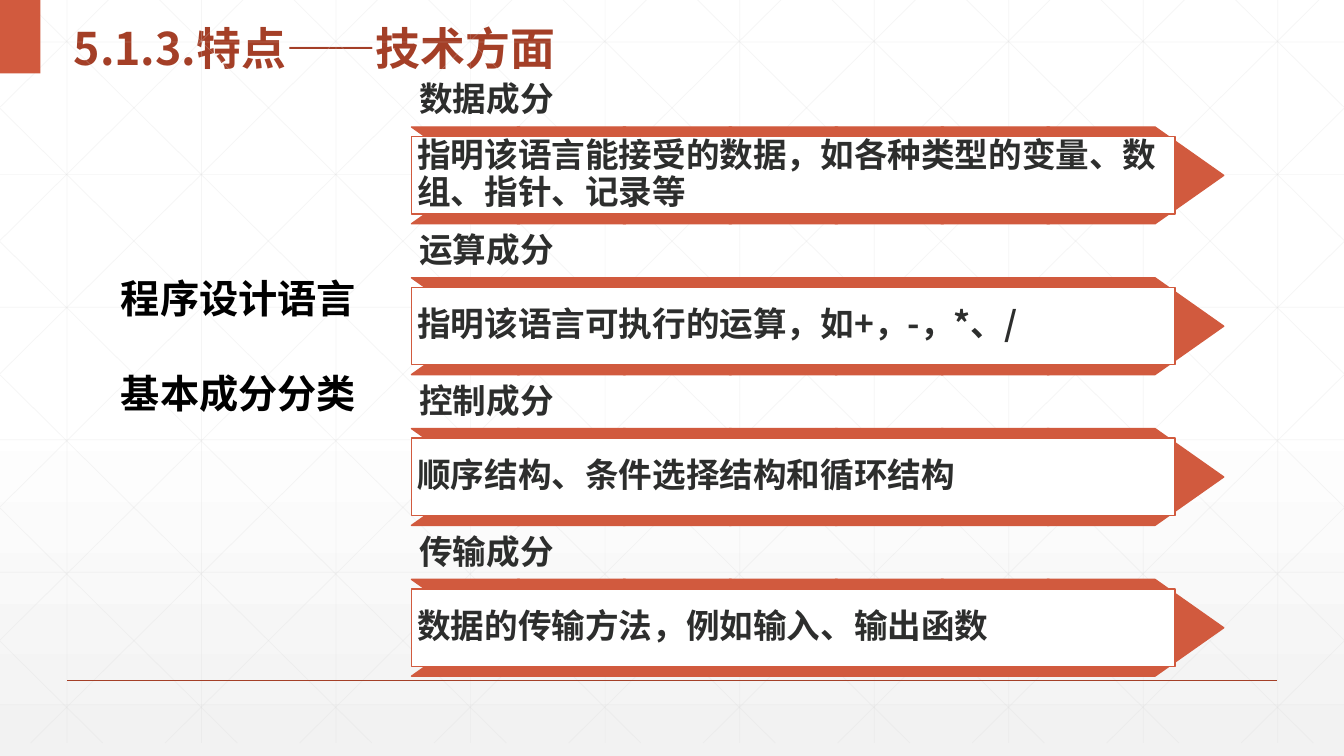
from dataclasses import dataclass
from typing import Any

from lxml.etree import SubElement
from pptx import Presentation
from pptx.dml.color import RGBColor
from pptx.enum.shapes import MSO_CONNECTOR, MSO_SHAPE
from pptx.enum.text import MSO_ANCHOR, MSO_AUTO_SIZE, PP_ALIGN
from pptx.oxml.ns import qn
from pptx.util import Cm, Pt

WIDE, HIGH = 33.87, 19.05
FLOOR = 18.72  # lower end of the background grid, cm
STEP = 3.39
SLANT = 1.01  # run of a diagonal per unit of drop
LEFT, TOP, PITCH = 10.37, 2.0, 3.8
RUST, DARK, INK = "D15A3E", "A43F27", "2D2E2D"
NOTO = "Noto Sans CJK SC"


@dataclass
class Part:
    """One language component: its label and what it covers."""
    name: str
    text: str


@dataclass
class Style:
    size: int
    color: str
    font: str = NOTO


PARTS = [
    Part("数据成分", "指明该语言能接受的数据，如各种类型的变量、数组、指针、记录等"),
    Part("运算成分", "指明该语言可执行的运算，如+，-，*、/"),
    Part("控制成分", "顺序结构、条件选择结构和循环结构"),
    Part("传输成分", "数据的传输方法，例如输入、输出函数"),
]


def paint(color: Any, code: str) -> None:
    color.rgb = RGBColor.from_string(code)


def apply(item: Any, values: dict[str, Any]) -> None:
    for key, value in values.items():
        setattr(item, key, value)


def pad(size: float) -> dict[str, Any]:
    sides = ("left", "top", "right", "bottom")
    return {f"margin_{side}": Cm(size) for side in sides}


def place(x: float, y: float, w: float, h: float) -> list[Cm]:
    return [Cm(x), Cm(y), Cm(w), Cm(h)]


def write(para: Any, text: str, style: Style) -> None:
    run = para.add_run()
    run.text = text
    apply(run.font, {"size": Pt(style.size), "bold": True, "name": style.font})
    paint(run.font.color, style.color)
    SubElement(run.font._element, qn("a:ea"), typeface=NOTO)


def draw(slide: Any, kind: MSO_SHAPE, box: list[Cm], fill: str, edge: str = "") -> Any:
    shape = slide.shapes.add_shape(kind, *box)
    shape.shadow.inherit = False
    shape.fill.solid()
    paint(shape.fill.fore_color, fill)
    if edge:
        paint(shape.line.color, edge)
        shape.line.width = Pt(1)
    else:
        shape.line.fill.background()
    return shape


def rule(slide: Any, x1: float, y1: float, x2: float, y2: float,
         code: str = "D9D9D9", width: float = 0.5, alpha: int = 25) -> None:
    """Draw a straight line with the given opacity in percent."""
    line = slide.shapes.add_connector(
        MSO_CONNECTOR.STRAIGHT, Cm(x1), Cm(y1), Cm(x2), Cm(y2))
    paint(line.line.color, code)
    line.line.width = Pt(width)
    if alpha < 100:
        tint = next(line.element.iter(qn("a:srgbClr")))
        SubElement(tint, qn("a:alpha"), val=str(alpha * 1000))
    SubElement(line.element.spPr, qn("a:effectLst"))


def shade(slide: Any) -> None:
    """Fill the background with a white to pale grey gradient."""
    fill = slide.background.fill
    fill.gradient()
    fill.gradient_angle = 270
    stops = next(slide.element.iter(qn("a:gsLst")))
    for stop in list(stops):
        stops.remove(stop)
    for spot, code, alpha in ((0, "FFFFFF", 100), (53, "FFFFFF", 100), (100, "F2F2F2", 65)):
        stop = SubElement(stops, qn("a:gs"), pos=str(spot * 1000))
        tint = SubElement(stop, qn("a:srgbClr"), val=code)
        if alpha < 100:
            SubElement(tint, qn("a:alpha"), val=str(alpha * 1000))


def grid(slide: Any) -> None:
    for col in range(10):
        x = 1.69 + STEP * col
        rule(slide, x, 0, x, FLOOR)
    for row in range(6):
        y = 1.06 + 3.34 * row
        rule(slide, 0, y, WIDE, y)
    for col in range(-5, 10):
        start = 0.63 + STEP * col
        x1, x2 = max(start, 0), min(start + FLOOR * SLANT, WIDE)
        y1, y2 = (x1 - start) / SLANT, (x2 - start) / SLANT
        rule(slide, x1, y1, x2, y2)
        rule(slide, WIDE - x1, y1, WIDE - x2, y2)


def head(slide: Any) -> None:
    title = slide.shapes.title
    apply(title, dict(zip(("left", "top", "width", "height"), place(1.6, 0, 22.99, 1.85))))
    frame = title.text_frame
    apply(frame, {"word_wrap": True, "auto_size": MSO_AUTO_SIZE.NONE,
                  "vertical_anchor": MSO_ANCHOR.TOP})
    para = frame.paragraphs[0]
    apply(para, {"alignment": PP_ALIGN.LEFT, "line_spacing": 1.3})
    write(para, "5.1.3.", Style(32, DARK))
    write(para, "特点——技术方面", Style(32, DARK, "Arial"))


def fill_text(shape: Any, text: str, inset: float, anchor: MSO_ANCHOR) -> None:
    frame = shape.text_frame
    apply(frame, {"word_wrap": True, "vertical_anchor": anchor, **pad(inset)})
    para = frame.paragraphs[0]
    apply(para, {"alignment": PP_ALIGN.LEFT, "line_spacing": 0.9})
    write(para, text, Style(24, INK))


def band(slide: Any, part: Part, top: float) -> None:
    """Draw a label above a row of chevrons with a text panel."""
    label = slide.shapes.add_textbox(*place(LEFT, top, 19, 1.2))
    fill_text(label, part.name, 0.2, MSO_ANCHOR.BOTTOM)
    for col in range(7):
        box = place(LEFT + 2.67 * col, top + 1.2, 4.45, 2.44)
        arrow = draw(slide, MSO_SHAPE.CHEVRON, box, RUST, RUST)
        arrow.adjustments[0] = 0.71
    panel = draw(slide, MSO_SHAPE.RECTANGLE, place(LEFT, top + 1.44, 19.24, 1.95),
                 "FFFFFF", RUST)
    fill_text(panel, part.text, 0.15, MSO_ANCHOR.MIDDLE)


def topic(slide: Any) -> None:
    box = slide.shapes.add_textbox(*place(2.8, 6.8, 6.5, 3.84))
    frame = box.text_frame
    frame.word_wrap = False
    style = Style(28, "000000", "Arial")
    write(frame.paragraphs[0], "程序设计语言", style)
    para = frame.add_paragraph()
    para.space_before = Pt(33.6)
    write(para, "基本成分分类", style)


def main() -> None:
    deck = Presentation()
    apply(deck, {"slide_width": Cm(WIDE), "slide_height": Cm(HIGH)})
    slide = deck.slides.add_slide(deck.slide_layouts[5])
    shade(slide)
    grid(slide)
    rule(slide, 1.69, 17.15, 32.17, 17.15, DARK, 1, 100)
    draw(slide, MSO_SHAPE.RECTANGLE, place(0, 0, 1.02, 1.85), RUST)
    head(slide)
    for row, part in enumerate(PARTS):
        band(slide, part, TOP + PITCH * row)
    topic(slide)
    deck.save("out.pptx")


if __name__ == "__main__":
    main()
